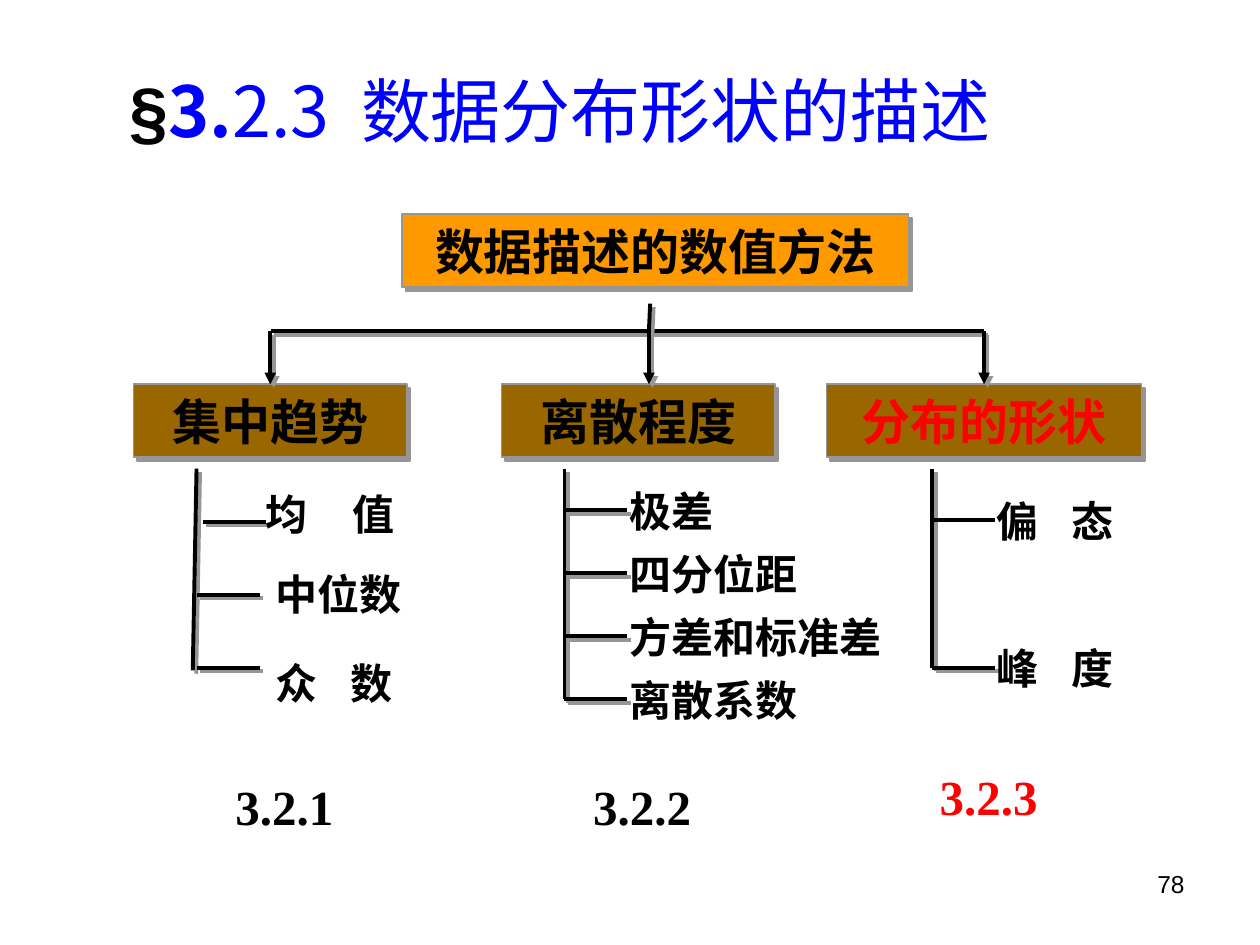
from lxml.etree import SubElement
from pptx import Presentation
from pptx.dml.color import RGBColor
from pptx.enum.shapes import MSO_CONNECTOR, MSO_SHAPE
from pptx.enum.text import MSO_ANCHOR, PP_ALIGN
from pptx.oxml.ns import qn
from pptx.util import Inches, Pt

COLORS = {"black": "000000", "blue": "0000FF", "red": "FF0000",
          "orange": "FF9900", "brown": "996600", "gray": "969696"}
CJK_FONT = "Noto Sans CJK SC"
BOX_HEIGHT, LABEL_HEIGHT = 0.58, 0.5
BUS_Y, BRANCH_Y, SPINE_Y = 2.63, 3.05, 3.72

BRANCHES = [
    {"title": "集中趋势", "box": (1.06, 2.17), "color": "black",
     "spine": (1.56, 1.53, 5.32),
     "items": [("均 值", 20, 2.01, 3.83, 1.37, 1.61, 4.14),
               ("中位数", 0, 2.09, 4.46, 1.33, 1.56, 4.72),
               ("众 数", 13.3, 2.09, 5.17, 1.34, 1.56, 5.3)],
     "section": ("3.2.1", 1.77, 6.11)},
    {"title": "离散程度", "box": (3.98, 2.17), "color": "black", "arrow_x": 5.15,
     "spine": (4.48, 4.48, 5.55),
     "items": [(name, 0, 4.9, 3.8 + row / 2, 2.25, 4.48, 4.05 + row / 2)
               for row, name in enumerate(["极差", "四分位距", "方差和标准差", "离散系数"])],
     "section": ("3.2.2", 4.61, 6.11)},
    {"title": "分布的形状", "box": (6.56, 2.5), "color": "red",
     "spine": (7.4, 7.4, 5.3),
     "items": [("偏 态", 13.3, 7.81, 3.88, 1.33, 7.4, 4.13),
               ("峰 度", 13.3, 7.81, 5.05, 1.33, 7.4, 5.3)],
     "section": ("3.2.3", 7.36, 6.03), "flat_item": "偏 态"},
]


def rgb(name):
    """Return the named colour."""
    return RGBColor.from_string(COLORS[name])


def add_effects(shape, shadow=True):
    """Give a shape a hard gray shadow, or none."""
    effects = SubElement(shape._element.spPr, qn("a:effectLst"))
    if shadow:
        outer = SubElement(effects, qn("a:outerShdw"), dist=str(Pt(2.8)),
                           dir="2700000", algn="ctr", rotWithShape="0")
        SubElement(outer, qn("a:srgbClr"), val=COLORS["gray"])


def write_run(paragraph, text, size=24, font="Arial", color="black", bold=True, gap=0):
    """Add a formatted run, with each of its spaces widened by gap points."""
    for index, part in enumerate(text.split(" ")):
        for piece in ([" ", part] if index else [part]):
            if not piece:
                continue
            run = paragraph.add_run()
            run.text = piece
            run.font.size, run.font.bold, run.font.name = Pt(size), bold, font
            run.font.color.rgb = rgb(color)
            properties = run.font._element
            if piece == " " and gap:
                properties.set("spc", str(round(gap * 100)))
            SubElement(properties, qn("a:ea"), typeface=CJK_FONT)


def write_text(shape, text, align=PP_ALIGN.LEFT, wrap=True, **style):
    """Write one vertically centred paragraph into a shape."""
    frame = shape.text_frame
    frame.word_wrap = wrap
    frame.vertical_anchor = MSO_ANCHOR.MIDDLE
    paragraph = frame.paragraphs[0]
    paragraph.alignment = align
    write_run(paragraph, text, **style)
    return paragraph


def add_label(slide, text, left, top, width, height, **style):
    """Add a text box and return its paragraph."""
    box = slide.shapes.add_textbox(Inches(left), Inches(top), Inches(width), Inches(height))
    return write_text(box, text, **style)


def add_box(slide, text, left, top, width, fill, color):
    """Add a filled heading box."""
    box = slide.shapes.add_shape(MSO_SHAPE.RECTANGLE, Inches(left), Inches(top),
                                 Inches(width), Inches(BOX_HEIGHT))
    box.fill.solid()
    box.fill.fore_color.rgb = rgb(fill)
    box.line.color.rgb = rgb("gray")
    box.line.width = Pt(1)
    add_effects(box)
    write_text(box, text, align=PP_ALIGN.CENTER, size=28, color=color)
    return box


def add_line(slide, x1, y1, x2, y2, arrow=False, shadow=True):
    """Add a straight black line."""
    line = slide.shapes.add_connector(MSO_CONNECTOR.STRAIGHT, Inches(x1), Inches(y1),
                                      Inches(x2), Inches(y2))
    line.line.color.rgb = rgb("black")
    line.line.width = Pt(2.25)
    if arrow:
        SubElement(line.line._get_or_add_ln(), qn("a:tailEnd"), type="triangle")
    add_effects(line, shadow)
    return line


def add_title(slide, left, top, width, height):
    """Add the three-part slide title."""
    paragraph = add_label(slide, "§", left, top, width, height,
                          align=PP_ALIGN.CENTER, size=40)
    write_run(paragraph, "3.", size=40, font=CJK_FONT, color="blue")
    write_run(paragraph, "2.3 数据分布形状的描述", size=40, font=CJK_FONT,
              color="blue", bold=False, gap=9)


def add_root(slide, left, top, width):
    """Add the root box, its stem and the line across the branches."""
    add_box(slide, "数据描述的数值方法", left, top, width, "orange", "black")
    add_line(slide, 2.15, BUS_Y, 7.81, BUS_Y)
    add_line(slide, 5.16, 2.41, 5.15, BUS_Y)


def add_branch(slide, branch):
    """Add one branch with its arrow, items and section number."""
    left, width = branch["box"]
    box = add_box(slide, branch["title"], left, BRANCH_Y, width, "brown", branch["color"])
    arrow_x = branch.get("arrow_x", left + width / 2)
    arrow = add_line(slide, arrow_x, BUS_Y, arrow_x, BRANCH_Y, arrow=True)
    if "arrow_x" not in branch:
        arrow.end_connect(box, 0)
    spine_top_x, spine_end_x, spine_end_y = branch["spine"]
    add_line(slide, spine_top_x, SPINE_Y, spine_end_x, spine_end_y)
    for name, gap, item_left, item_top, item_width, tick_x, tick_y in branch["items"]:
        add_line(slide, tick_x, tick_y, tick_x + 0.5, tick_y,
                 shadow=name != branch.get("flat_item"))
        add_label(slide, name, item_left, item_top, item_width, LABEL_HEIGHT, gap=gap)
    number, number_left, number_top = branch["section"]
    add_label(slide, number, number_left, number_top, 0.98, 0.57, wrap=False,
              size=28, font="Times New Roman", color=branch["color"])


def main():
    """Build and save the slide."""
    deck = Presentation()
    deck.slide_width, deck.slide_height = Inches(10), Inches(7.5)
    slide = deck.slides.add_slide(deck.slide_layouts[6])
    add_title(slide, 0.43, 0.44, 8.03, 0.85)
    add_root(slide, 3.19, 1.7, 4.02)
    for branch in BRANCHES:
        add_branch(slide, branch)
    add_label(slide, "78", 7.17, 6.75, 2.33, 0.52, align=PP_ALIGN.RIGHT, size=14, bold=False)
    deck.save("out.pptx")


if __name__ == "__main__":
    main()
